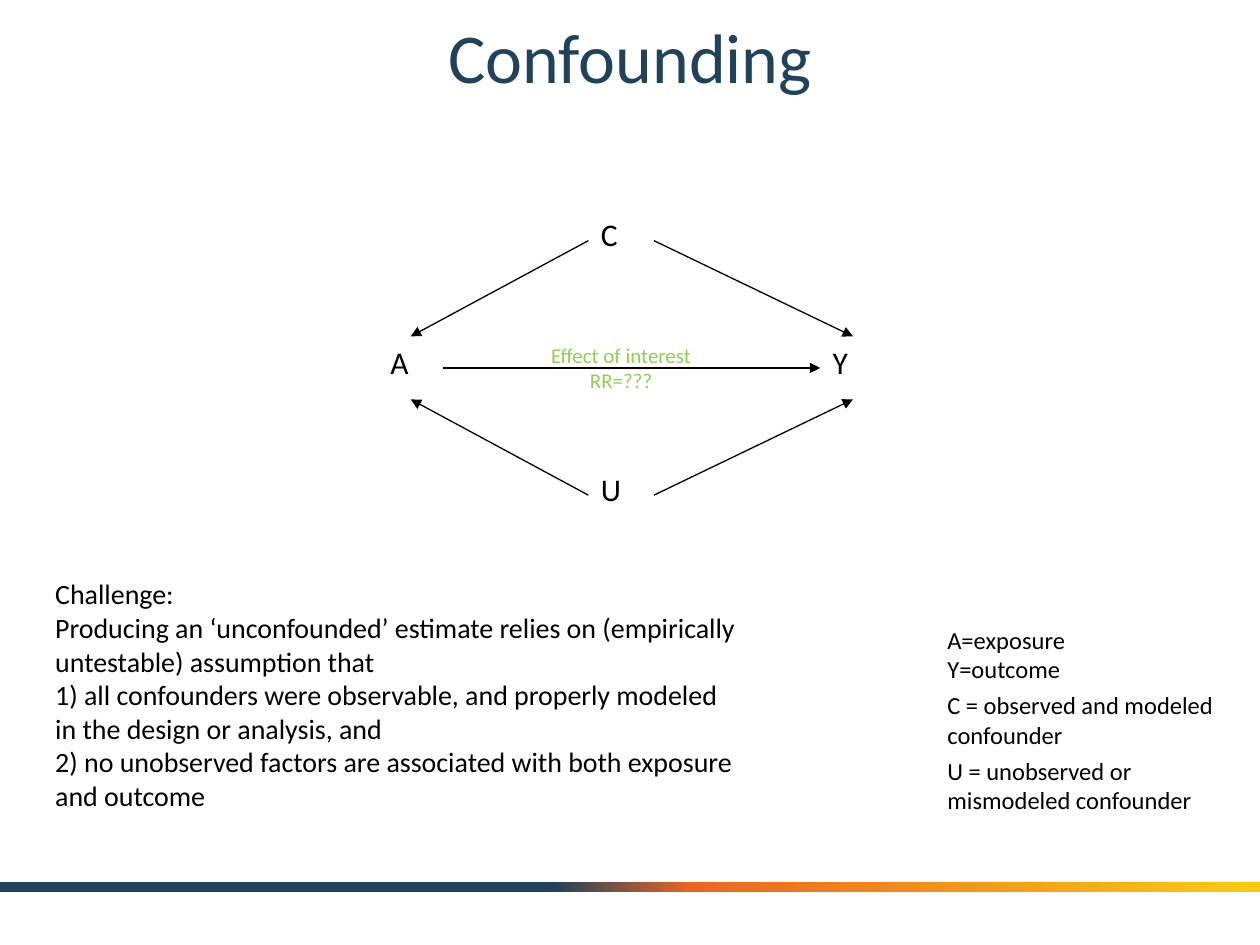
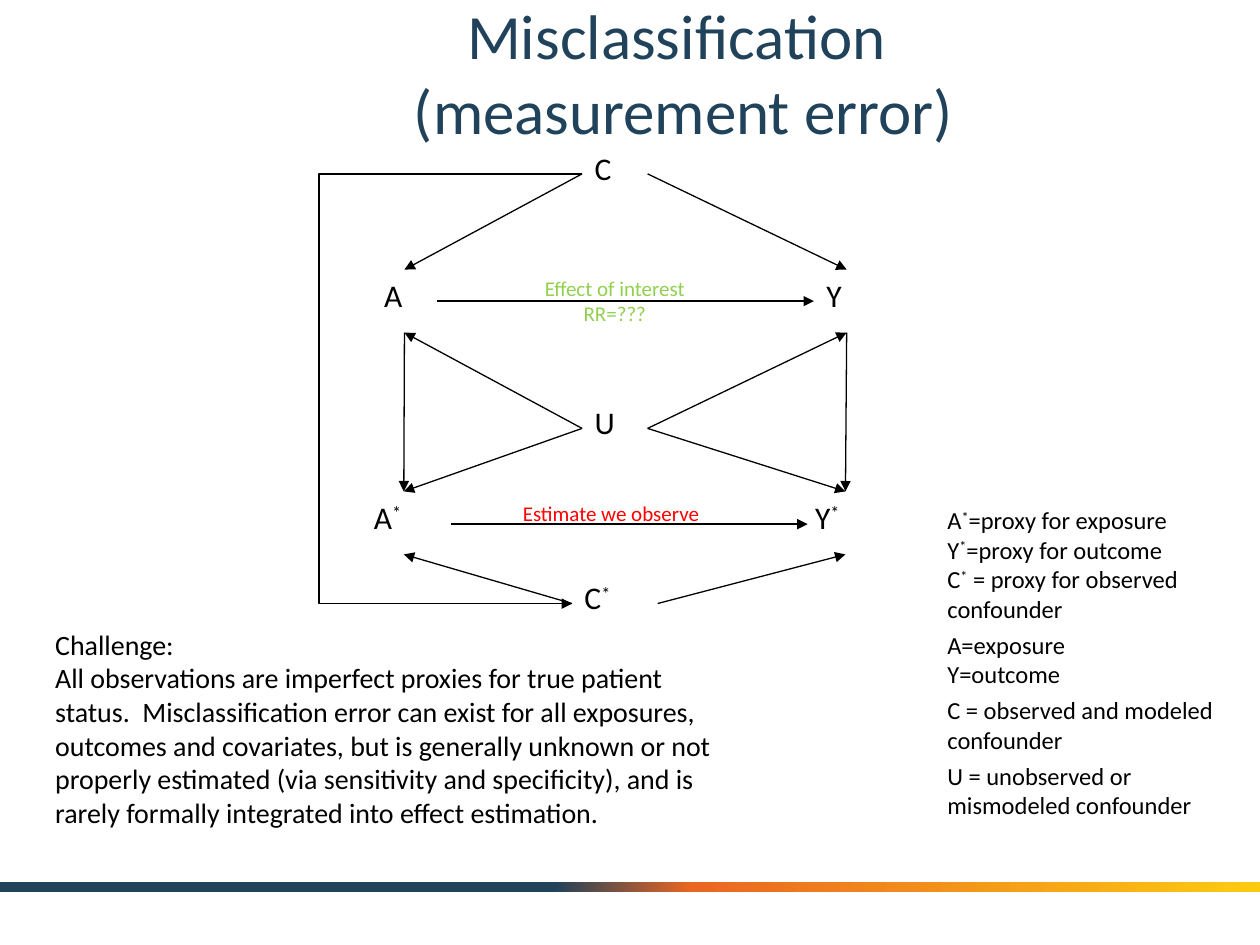
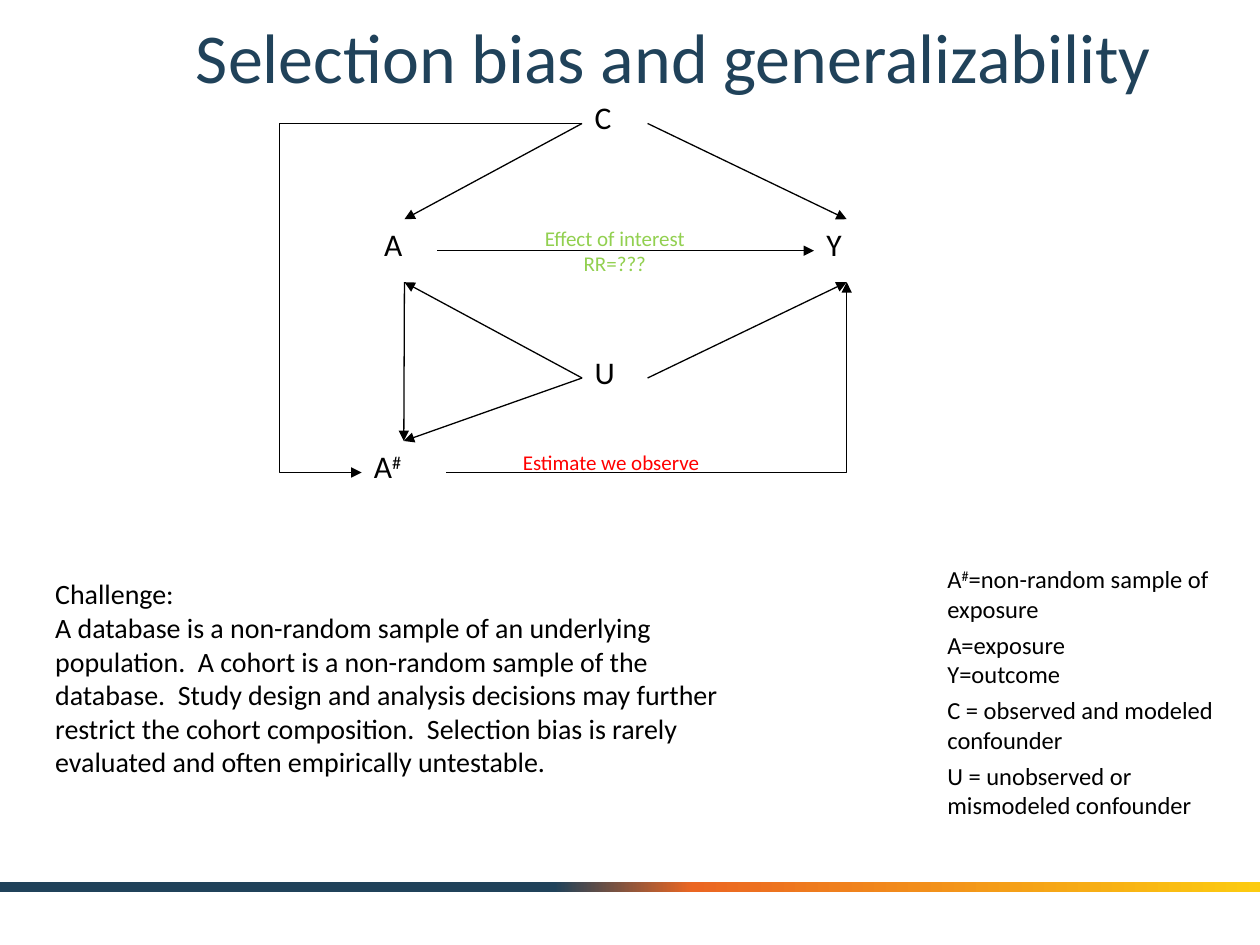
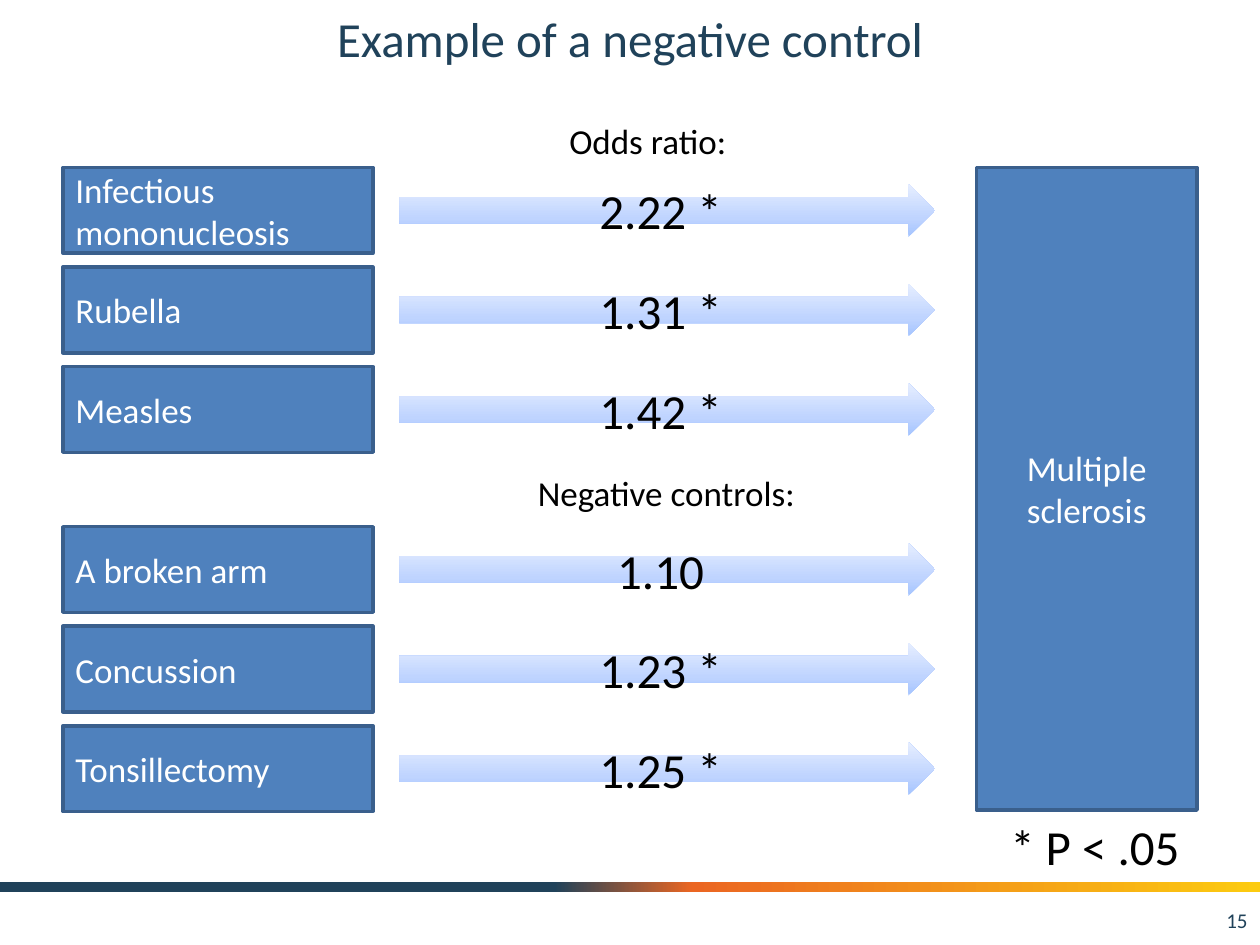
from lxml import etree
from pptx import Presentation
from pptx.dml.color import RGBColor
from pptx.enum.shapes import MSO_CONNECTOR, MSO_SHAPE
from pptx.enum.text import MSO_ANCHOR, MSO_AUTO_SIZE, PP_ALIGN
from pptx.oxml.ns import qn
from pptx.util import Inches, Pt

STRAIGHT, ELBOW = MSO_CONNECTOR.STRAIGHT, MSO_CONNECTOR.ELBOW
RECTANGLE, RIGHT_ARROW = MSO_SHAPE.RECTANGLE, MSO_SHAPE.RIGHT_ARROW
LEFT, CENTER, RIGHT = PP_ALIGN.LEFT, PP_ALIGN.CENTER, PP_ALIGN.RIGHT
TOP, MIDDLE = MSO_ANCHOR.TOP, MSO_ANCHOR.MIDDLE

WIDTH, HEIGHT = 10, 7.5
FONT = "Calibri"
TITLE_ONLY = 5
COLORS = {
    "title": "20425A", "text": "000000", "white": "FFFFFF",
    "effect": "92D050", "estimate": "FF0000",
    "box": "4F81BD", "box line": "3A5F8C",
}
BAND_STOPS = [(44, "20425A"), (55, "EB6622"), (100, "FCCB10")]
ARROW_STOPS = [(0, "A4C4FF"), (35, "BFD4FF"), (100, "E6EEFF")]

# Causal diagrams: node offsets (left, top, width) from the diagram's corner;
# "^" raises the character after it
NODE_HEIGHT = 0.5
NODES = {
    "A": (0, 1.01, 0.52), "Y": (3.51, 1.01, 0.52),
    "C": (1.67, 0, 0.52), "U": (1.67, 2.02, 0.52),
    "A^*": (-0.08, 2.77, 0.67), "A^#": (-0.08, 2.77, 0.67),
    "Y^*": (3.42, 2.77, 0.68), "C^*": (1.59, 3.41, 0.68),
}
SITES = {"top": 0, "left": 1, "bottom": 2, "right": 3}
BASE_EDGES = [
    ("A", "right", "Y", "left"),
    ("C", "left", "A", "top"), ("C", "right", "Y", "top"),
    ("U", "left", "A", "bottom"), ("U", "right", "Y", "bottom"),
]
EFFECT_LABEL = (["Effect of interest", "RR=???"], 1.01, 1.01, "effect")
ESTIMATE_LABEL = (["Estimate we observe"], 0.98, 2.79, "estimate")

BASE_KEY = [
    ["A=exposure", "Y=outcome"],
    ["C = observed and modeled confounder"],
    ["U = unobserved or mismodeled confounder"],
]
KEY_LEFT, KEY_PITCH = 7.42, 0.52

DIAGRAMS = [
    {
        "title": "Confounding", "title box": (0.45, 0, 9.1, 0.88), "title size": 40,
        "corner": (3, 1.66), "nodes": ["A", "Y", "C", "U"], "edges": [],
        "labels": [EFFECT_LABEL],
        "key top": 4.91, "extra key": [],
        "challenge top": 4.53,
        "challenge": [
            "Producing an ‘unconfounded’ estimate relies on (empirically untestable) "
            "assumption that \n1) all confounders were observable, and properly modeled "
            "in the design or analysis, and",
            "2) no unobserved factors are associated with both exposure and outcome",
        ],
    },
    {
        "title": "Misclassification \n(measurement error)",
        "title box": (1.25, 0.13, 8.35, 0.88), "title size": 36,
        "corner": (2.95, 1.13),
        "nodes": ["A", "Y", "C", "U", "A^*", "Y^*", "C^*"],
        "edges": [
            ("A", "bottom", "A^*", "top"), ("Y", "bottom", "Y^*", "top"),
            ("U", "right", "Y^*", "top"), ("U", "left", "A^*", "top"),
            ("C^*", "left", "A^*", "bottom"), ("C^*", "right", "Y^*", "bottom"),
        ],
        "estimate arrow": (0.63, 3.46, 3.03),
        "loop": ("C", "C^*", 2.09),
        "labels": [EFFECT_LABEL, ESTIMATE_LABEL],
        "key top": 4.95,
        "extra key": [
            (3.96, ["A^*=proxy for exposure", "Y^*=proxy for outcome"]),
            (4.43, ["C^* = proxy for observed confounder"]),
        ],
        "challenge top": 4.93,
        "challenge": [
            "All observations are imperfect proxies for true patient status.  "
            "Misclassification error can exist for all exposures, outcomes and "
            "covariates, but is generally unknown or not properly estimated (via "
            "sensitivity and specificity), and is rarely formally integrated into "
            "effect estimation.",
        ],
    },
    {
        "title": "Selection bias and generalizability",
        "title box": (1.17, 0, 8.35, 0.88), "title size": 40,
        "corner": (2.95, 0.73), "nodes": ["A", "Y", "C", "U", "A^#"],
        "edges": [("A", "bottom", "A^#", "top"), ("U", "left", "A^#", "top")],
        "corner edge": ("A^#", "right", "Y", "bottom"),
        "loop": ("C", "A^#", 2.4),
        "labels": [EFFECT_LABEL, ESTIMATE_LABEL],
        "key top": 4.95,
        "extra key": [(4.43, ["A^#=non-random sample of exposure"])],
        "challenge top": 4.53,
        "challenge": [
            "A database is a non-random sample of an underlying population.  A cohort "
            "is a non-random sample of the database.  Study design and analysis "
            "decisions may further restrict the cohort composition.  Selection bias is "
            "rarely evaluated and often empirically untestable.",
        ],
    },
]

# Negative control slide: group top, then exposures with their odds ratios
CONTROL_TITLE = "Example of a negative control"
EXPOSURE_GROUPS = [
    (1.33, [(["Infectious", "mononucleosis"], "2.22 *"),
            (["Rubella"], "1.31 *"), (["Measles"], "1.42 *")]),
    (4.18, [(["A broken arm"], "1.10"),
            (["Concussion"], "1.23 *"), (["Tonsillectomy"], "1.25 *")]),
]
CAPTIONS = [
    ("Odds ratio:", (4.42, 0.9, 1.7, 0.44), 20),
    ("Negative controls:", (4.17, 3.69, 2.78, 0.44), 20),
    ("* P < .05", (7.92, 6.43, 2.06, 0.57), 28),
]
ROW_PITCH, BOX_HEIGHT, ARROW_HEIGHT = 0.79, 0.68, 0.42


def inches(*lengths):
    return [Inches(length) for length in lengths]


def write(shape, paragraphs, size=18, color="text", align=LEFT, anchor=TOP):
    """Fill a shape with paragraphs; a newline breaks a line, "^" raises a character."""
    frame = shape.text_frame
    frame.word_wrap = True
    frame.auto_size = MSO_AUTO_SIZE.NONE
    frame.vertical_anchor = anchor

    def add_run(paragraph, text, raised=False):
        if not text:
            return
        run = paragraph.add_run()
        run.text = text
        run.font.name, run.font.size = FONT, Pt(size)
        run.font.color.rgb = RGBColor.from_string(COLORS[color])
        if raised:
            run.font._element.set("baseline", "30000")

    for number, text in enumerate(paragraphs):
        paragraph = frame.add_paragraph() if number else frame.paragraphs[0]
        paragraph.alignment = align
        for line_number, line in enumerate(text.split("\n")):
            if line_number:
                paragraph.add_line_break()
            plain, *raised_parts = line.split("^")
            add_run(paragraph, plain)
            for part in raised_parts:
                add_run(paragraph, part[0], raised=True)
                add_run(paragraph, part[1:])


def add_text(slide, box, paragraphs, **text_format):
    shape = slide.shapes.add_textbox(*inches(*box))
    write(shape, paragraphs, **text_format)
    return shape


def add_title(slide, text, box, size):
    title = slide.shapes.title
    title.left, title.top, title.width, title.height = inches(*box)
    write(title, [text], size=size, color="title", align=CENTER, anchor=MIDDLE)


def add_gradient_shape(slide, kind, box, stops, angle):
    shape = slide.shapes.add_shape(kind, *inches(*box))
    shape.shadow.inherit = False
    shape.line.fill.background()
    shape.fill.gradient()
    shape.fill.gradient_angle = angle
    stop_list = shape._element.spPr.find(qn("a:gradFill")).find(qn("a:gsLst"))
    for stop in list(stop_list):
        stop_list.remove(stop)
    for share, color in stops:
        stop = etree.SubElement(stop_list, qn("a:gs"), pos=str(share * 1000))
        etree.SubElement(stop, qn("a:srgbClr"), val=color)
    return shape


def add_box(slide, box, paragraphs, align):
    shape = slide.shapes.add_shape(RECTANGLE, *inches(*box))
    shape.shadow.inherit = False
    shape.fill.solid()
    shape.fill.fore_color.rgb = RGBColor.from_string(COLORS["box"])
    shape.line.color.rgb = RGBColor.from_string(COLORS["box line"])
    shape.line.width = Pt(2)
    write(shape, paragraphs, size=20, color="white", align=align, anchor=MIDDLE)


def add_arrow(slide, kind, points=(0, 0, 0, 0)):
    arrow = slide.shapes.add_connector(kind, *inches(*points))
    arrow.line.color.rgb = RGBColor.from_string(COLORS["text"])
    arrow.line.width = Pt(0.75)
    etree.SubElement(arrow.line._get_or_add_ln(), qn("a:tailEnd"), type="triangle")
    etree.SubElement(arrow._element.spPr, qn("a:effectLst"))
    return arrow


def connect(slide, nodes, edge, kind=STRAIGHT):
    start, start_side, end, end_side = edge
    arrow = add_arrow(slide, kind)
    arrow.begin_connect(nodes[start], SITES[start_side])
    arrow.end_connect(nodes[end], SITES[end_side])
    return arrow


def add_loop(slide, nodes, start, end, reach):
    """Join two left sides by an elbow that reaches out to the left."""
    arrow = connect(slide, nodes, (start, "left", end, "left"), ELBOW)
    properties = arrow._element.spPr
    # A half turn with a vertical flip starts the elbow towards the left
    transform = properties.find(qn("a:xfrm"))
    transform.attrib.pop("flipH", None)
    transform.set("rot", "10800000")
    transform.set("flipV", "1")
    adjustments = properties.find(qn("a:prstGeom")).find(qn("a:avLst"))
    bend = round(Inches(reach) / arrow.width * 100000)
    etree.SubElement(adjustments, qn("a:gd"), name="adj1", fmla=f"val {bend}")


def add_corner(slide, nodes, edge):
    arrow = connect(slide, nodes, edge, ELBOW)
    arrow._element.spPr.find(qn("a:prstGeom")).set("prst", "bentConnector2")


def build_diagram(slide, content):
    add_title(slide, content["title"], content["title box"], content["title size"])
    left, top = content["corner"]

    # Nodes and arrows
    nodes = {}
    for name in content["nodes"]:
        across, down, width = NODES[name]
        nodes[name] = add_text(slide, (left + across, top + down, width, NODE_HEIGHT), [name])
    for edge in BASE_EDGES + content["edges"]:
        connect(slide, nodes, edge)
    if "estimate arrow" in content:
        start, end, down = content["estimate arrow"]
        add_arrow(slide, STRAIGHT, (left + start, top + down, left + end, top + down))
    if "corner edge" in content:
        add_corner(slide, nodes, content["corner edge"])
    if "loop" in content:
        add_loop(slide, nodes, *content["loop"])
    for paragraphs, across, down, color in content["labels"]:
        add_text(slide, (left + across, top + down, 1.84, NODE_HEIGHT), paragraphs,
                 size=12, color=color, align=CENTER)

    # Key and challenge
    key = [(content["key top"] + row * KEY_PITCH, entry) for row, entry in enumerate(BASE_KEY)]
    for key_top, entry in content["extra key"] + key:
        add_text(slide, (KEY_LEFT, key_top, WIDTH - KEY_LEFT, 0.57), entry, size=14)
    add_text(slide, (0.34, content["challenge top"], 5.64, 1.99),
             ["Challenge:"] + content["challenge"], size=16)


def build_control_slide(slide):
    add_title(slide, CONTROL_TITLE, (0.5, 0, 9, 0.61), 28)
    for group_top, rows in EXPOSURE_GROUPS:
        for row, (exposure, ratio) in enumerate(rows):
            top = group_top + row * ROW_PITCH
            add_box(slide, (0.5, top, 2.46, BOX_HEIGHT), exposure, LEFT)
            arrow_top = top + (BOX_HEIGHT - ARROW_HEIGHT) / 2
            arrow = add_gradient_shape(slide, RIGHT_ARROW, (3.17, arrow_top, 4.25, ARROW_HEIGHT),
                                       ARROW_STOPS, 90)
            write(arrow, [ratio], size=28, align=CENTER, anchor=MIDDLE)
    add_box(slide, (7.75, 1.33, 1.75, 5.1), ["Multiple sclerosis"], CENTER)
    for text, box, size in CAPTIONS:
        add_text(slide, box, [text], size=size)
    add_text(slide, (7.67, 7.1, 2.33, 0.4), ["15"], size=12, color="title",
             align=RIGHT, anchor=MIDDLE)


def main():
    presentation = Presentation()
    presentation.slide_width, presentation.slide_height = inches(WIDTH, HEIGHT)
    layout = presentation.slide_layouts[TITLE_ONLY]
    slides = [presentation.slides.add_slide(layout) for _ in range(len(DIAGRAMS) + 1)]

    # The band belongs to the master, so every slide shows it
    band = add_gradient_shape(slides[0], RECTANGLE, (0, 7, WIDTH, 0.08), BAND_STOPS, 0)
    presentation.slide_master.shapes._spTree.append(band._element)

    for slide, content in zip(slides, DIAGRAMS):
        build_diagram(slide, content)
    build_control_slide(slides[-1])
    presentation.save("out.pptx")


if __name__ == "__main__":
    main()
